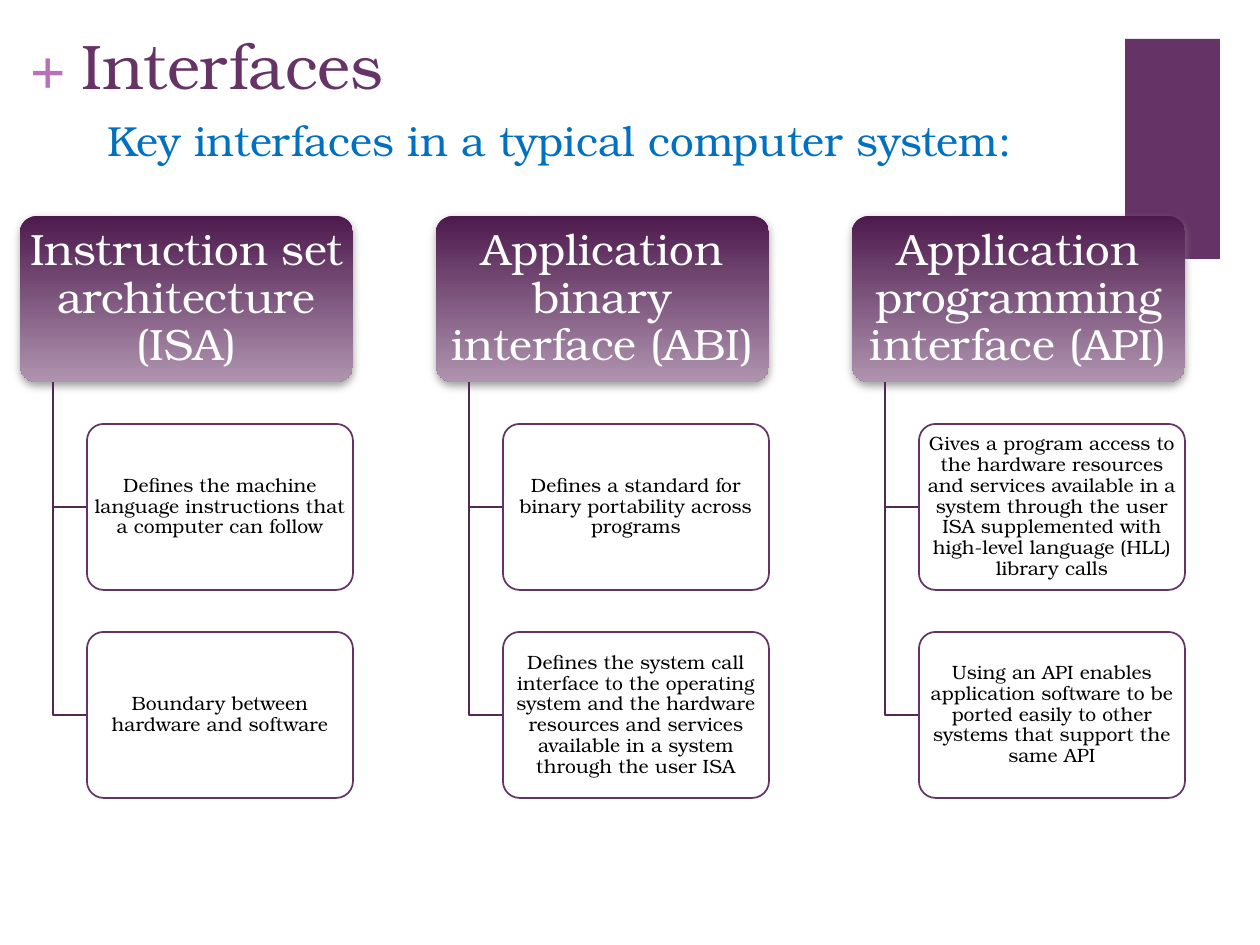
from lxml import etree
from pptx import Presentation
from pptx.dml.color import RGBColor
from pptx.enum.shapes import MSO_SHAPE
from pptx.enum.text import MSO_ANCHOR, MSO_AUTO_SIZE, PP_ALIGN
from pptx.oxml.ns import qn
from pptx.util import Pt

RECT, ROUND = MSO_SHAPE.RECTANGLE, MSO_SHAPE.ROUNDED_RECTANGLE
TOP, MIDDLE, BOTTOM = MSO_ANCHOR.TOP, MSO_ANCHOR.MIDDLE, MSO_ANCHOR.BOTTOM
LEFT, CENTER = PP_ALIGN.LEFT, PP_ALIGN.CENTER
GROW = MSO_AUTO_SIZE.SHAPE_TO_FIT_TEXT

SCALE = 914400 / 126  # EMU per px
SERIF, PLAIN = "TeX Gyre Bonum", "Times New Roman"
COLORS = {
    "plum": "663366", "dark": "4D1A4D", "pale": "AF94AF", "wire": "522952",
    "plus": "B870B8", "blue": "0070C0", "white": "FFFFFF", "black": "000000",
    "shade": "808080",
}

# Tree layout in px
X, Y = 20, 216
COL, ROW = 416, 208
HEAD_W, CARD_W, BOX_H = 333, 266, 166
STEM, INDENT = 33, 67

TREES = [
    ("Instruction set architecture (ISA)", [
        "Defines the machine language instructions that a computer can follow",
        "Boundary between hardware and software"]),
    ("Application binary interface (ABI)", [
        "Defines a standard for binary portability across programs",
        "Defines the system call interface to the operating system and the "
        "hardware resources and services available in a system through the "
        "user ISA"]),
    ("Application programming interface (API)", [
        "Gives a program access to the hardware resources and services "
        "available in a system through the user ISA supplemented with "
        "high-level language (HLL) library calls",
        "Using an API enables application software to be ported easily to "
        "other systems that support the same API"]),
]


def px(n):
    return round(n * SCALE)


def color(name):
    return RGBColor.from_string(COLORS[name])


def write(shape, text, size, tint, pad, anchor=TOP, align=LEFT, font=SERIF):
    """Fill a shape with one paragraph of text."""
    frame = shape.text_frame
    frame.word_wrap = True
    frame.vertical_anchor = anchor
    frame.margin_left = frame.margin_right = px(pad[0])
    frame.margin_top = frame.margin_bottom = px(pad[1])
    frame.text = text
    para = frame.paragraphs[0]
    para.alignment = align
    face = para.runs[0].font
    face.name, face.size = font, Pt(size)
    face.color.rgb = color(tint)
    return para


def label(slide, x, y, w, h, *args, **kwargs):
    box = slide.shapes.add_textbox(px(x), px(y), px(w), px(h))
    return box, write(box, *args, **kwargs)


def block(slide, kind, x, y, w, h, tint):
    shape = slide.shapes.add_shape(kind, px(x), px(y), px(w), px(h))
    shape.shadow.inherit = False
    shape.fill.solid()
    shape.fill.fore_color.rgb = color(tint)
    shape.line.fill.background()
    if kind == ROUND:
        shape.adjustments[0] = 0.1
    return shape


def shade(shape):
    """Drop a soft shadow straight down."""
    effects = shape._element.spPr.find(qn("a:effectLst"))
    drop = etree.SubElement(effects, qn("a:outerShdw"), blurRad=str(Pt(5)),
                            dist=str(Pt(2)), dir="5400000", rotWithShape="0")
    tint = etree.SubElement(drop, qn("a:srgbClr"), val=COLORS["shade"])
    etree.SubElement(tint, qn("a:alpha"), val="75000")


def head(slide, x, text):
    shape = block(slide, ROUND, x, Y, HEAD_W, BOX_H, "dark")
    shape.fill.gradient()
    shape.fill.gradient_angle = 270
    for stop, tint in zip(shape.fill.gradient_stops, ("dark", "pale")):
        stop.color.rgb = color(tint)
    shade(shape)
    write(shape, text, 25, "white", (1, 0), MIDDLE, CENTER).line_spacing = 0.9


def elbow(slide, x, y):
    """Run from the foot of the head to the side of the card at y."""
    pen = slide.shapes.build_freeform(px(x + STEM), px(Y + BOX_H))
    side = y + BOX_H // 2
    pen.add_line_segments([(px(x + STEM), px(side)),
                           (px(x + INDENT), px(side))], close=False)
    wire = pen.convert_to_shape()
    wire.shadow.inherit = False
    wire.fill.background()
    wire.line.color.rgb = color("wire")
    wire.line.width = Pt(1)


def card(slide, x, y, text):
    shape = block(slide, ROUND, x + INDENT, y, CARD_W, BOX_H, "white")
    tint = shape._element.spPr.find(qn("a:solidFill"))[0]
    etree.SubElement(tint, qn("a:alpha"), val="90000")
    shape.line.color.rgb = color("plum")
    shape.line.width = Pt(1)
    write(shape, text, 11, "black", (0, 0), MIDDLE, CENTER).line_spacing = 0.9


def main():
    deck = Presentation()
    deck.slide_width, deck.slide_height = px(1260), px(945)
    slide = deck.slides.add_slide(deck.slide_layouts[6])

    # Corner band and title
    block(slide, RECT, 1125, 39, 95, 220, "plum")
    plus, para = label(slide, 30, 32, 37, 77, "+", 36, "plus", (0, 0),
                       font=PLAIN)
    plus.text_frame.auto_size = GROW
    para.runs[0].font.bold = True
    label(slide, 69, 19, 1041, 89, "Interfaces", 36, "plum", (12, 6), BOTTOM)

    # One tree per interface
    for col, (name, notes) in enumerate(TREES):
        x = X + col * COL
        head(slide, x, name)
        for row, note in enumerate(notes, 1):
            y = Y + row * ROW
            elbow(slide, x, y)
            card(slide, x, y, note)

    # Subtitle
    _, para = label(slide, 95, 108, 1042, 107,
                    "Key interfaces in a typical computer system:",
                    24, "blue", (12, 6))
    para.space_before = Pt(20)

    deck.save("out.pptx")


if __name__ == "__main__":
    main()
